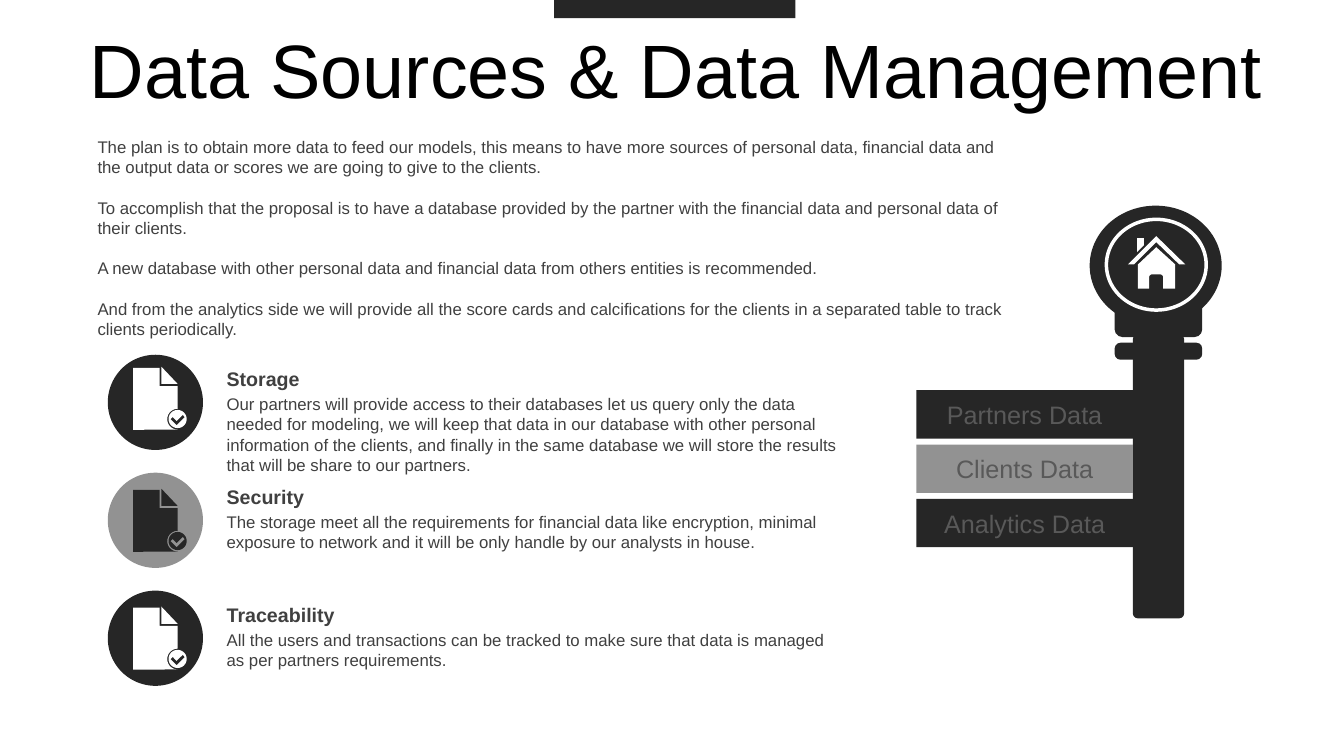
import math

from pptx import Presentation
from pptx.dml.color import RGBColor
from pptx.enum.shapes import MSO_SHAPE
from pptx.enum.text import MSO_ANCHOR, PP_ALIGN
from pptx.util import Pt

RECT, OVAL, ROUNDED = MSO_SHAPE.RECTANGLE, MSO_SHAPE.OVAL, MSO_SHAPE.ROUNDED_RECTANGLE
TOP, MIDDLE = MSO_ANCHOR.TOP, MSO_ANCHOR.MIDDLE
LEFT, CENTER = PP_ALIGN.LEFT, PP_ALIGN.CENTER

DARK = RGBColor(0x26, 0x26, 0x26)
GRAY = RGBColor(0x92, 0x92, 0x92)
WHITE = RGBColor(0xFF, 0xFF, 0xFF)
BLACK = RGBColor(0, 0, 0)
BODY = RGBColor(0x40, 0x40, 0x40)
LABEL = RGBColor(0x59, 0x59, 0x59)
FONT = "Arial"

INTRO = [
    "The plan is to obtain more data to feed our models, this means to have more sources of "
    "personal data, financial data and the output data or scores we are going to give to the clients.",
    "To accomplish that the proposal is to have a database provided by the partner with the "
    "financial data and personal data of their clients.",
    "A new database with other personal data and financial data from others entities is recommended.",
    "And from the analytics side we will provide all the score cards and calcifications for the "
    "clients in a separated table to track clients periodically.",
]
TOPICS = [
    ("Storage",
     "Our partners will provide access to their databases let us query only the data needed for "
     "modeling, we will keep that data in our database with other personal information of the "
     "clients, and finally in the same database we will store the results that will be share to "
     "our partners.", DARK, WHITE, 8.64),
    ("Security",
     "The storage meet all the requirements for financial data like encryption, minimal exposure "
     "to network and it will be only handle by our analysts in house.", GRAY, DARK, 11.52),
    ("Traceability",
     "All the users and transactions can be tracked to make sure that data is managed as per "
     "partners requirements.", DARK, WHITE, 11.52),
]
KEY_BITS = [("Partners Data", DARK), ("Clients Data", GRAY), ("Analytics Data", DARK)]


def arc(center_x, center_y, radius, start, end, steps=24):
    angles = [math.radians(start + (end - start) * i / steps) for i in range(steps + 1)]
    return [(center_x + radius * math.cos(a), center_y + radius * math.sin(a)) for a in angles]


CHECK = [(35.4, 34.3), (31, 38.7), (28.2, 35.9), (26.6, 37.4), (31, 41.8), (36.8, 36)]
BADGE = arc(31.7, 37.3, 6.5, 0, 360)
PAGE = [(0, 0.7), (18.8, 0.7), (18.8, 13.8), (31.7, 13.8),
        *arc(31.7, 37.4, 7.4, 270, 90), (0, 45)]
FOLD = [(20.2, 0), (31.7, 12.2), (20.2, 12.2)]
DOCUMENT = [CHECK, BADGE, PAGE, FOLD]

WALLS = [(20.3, 7.9), (33.8, 20.2), (33.8, 37.4), *arc(23, 29.5, 2.2, 0, -90, 6),
         *arc(17.3, 29.5, 2.2, -90, -180, 6), (15.1, 37.4), (7.2, 37.4), (7.2, 20.2)]
WALLS.insert(3, (25.2, 37.4))
CHIMNEY = [(6.5, 1.4), (11.5, 1.4), (11.5, 6.5), (6.5, 11.5)]
ROOF = [(20.3, 0), (41, 20.2), (36.7, 20.2), (20.3, 4.3), (4.3, 20.2), (0, 20.2)]
HOUSE = [WALLS, CHIMNEY, ROOF]


def paint(shape, color):
    shape.shadow.inherit = False
    shape.fill.solid()
    shape.fill.fore_color.rgb = color
    shape.line.fill.background()
    return shape


def add_block(slide, kind, left, top, width, height, color, corner=None):
    block = slide.shapes.add_shape(kind, Pt(left), Pt(top), Pt(width), Pt(height))
    if corner is not None:
        block.adjustments[0] = corner
    return paint(block, color)


def add_outline(slide, contours, left, top, color):
    builder = None
    for contour in contours:
        points = [(Pt(x), Pt(y)) for x, y in contour]
        if builder is None:
            builder = slide.shapes.build_freeform(*points[0])
        else:
            builder.move_to(*points[0])
        builder.add_line_segments(points[1:], close=True)
    return paint(builder.convert_to_shape(Pt(left), Pt(top)), color)


def write(frame, *texts, size=12, color=BODY, bold=False, align=LEFT, anchor=TOP,
          before=0, after=0, spacing=None):
    frame.word_wrap = True
    frame.vertical_anchor = anchor
    for index, text in enumerate(texts):
        paragraph = frame.add_paragraph() if index else frame.paragraphs[0]
        paragraph.alignment = align
        paragraph.space_before, paragraph.space_after = Pt(before), Pt(after)
        paragraph.line_spacing = spacing
        run = paragraph.add_run()
        run.text = text
        run.font.name, run.font.size, run.font.bold = FONT, Pt(size), bold
        run.font.color.rgb = color


def add_text(slide, left, top, width, height, *texts, **style):
    box = slide.shapes.add_textbox(Pt(left), Pt(top), Pt(width), Pt(height))
    write(box.text_frame, *texts, **style)


def draw_header(slide, left, top, width):
    tab_width = 172.4
    add_block(slide, RECT, left + (width - tab_width) / 2, top, tab_width, 13, DARK)
    add_text(slide, left + 25.2, top + 24.5, 911.5, 56.9, "Data Sources & Data Management",
             size=54, color=BLACK, align=CENTER, anchor=MIDDLE, before=10, spacing=0.9)


def draw_topics(slide, left, top, pitch):
    for row, (heading, detail, disc_color, icon_color, icon_drop) in enumerate(TOPICS):
        row_top = top + row * pitch
        add_block(slide, OVAL, left, row_top, 68, 68, disc_color)
        add_outline(slide, DOCUMENT, left + 18.2, row_top + icon_drop, icon_color)
        add_text(slide, left + 77.8, row_top + 5, 455.8, 24.5, heading,
                 size=14, bold=True, anchor=MIDDLE)
        add_text(slide, left + 77.8, row_top + 24.5, 455.8, 36, detail)


def draw_key(slide, left, top):
    axis = left + 173
    for kind, drop, width, height, corner in [
        (OVAL, 0, 94.3, 85.7, None),
        (ROUNDED, 60.8, 62.6, 33.1, 0.17),
        (ROUNDED, 97.9, 62.6, 12.2, 0.35),
        (ROUNDED, 91.8, 36.7, 203, 0.1),
    ]:
        center = axis if kind == OVAL else axis + 2
        add_block(slide, kind, center - width / 2, top + drop, width, height, DARK, corner)
    ring = add_block(slide, OVAL, axis - 35.2, top + 9.8, 71.3, 64.8, DARK)
    ring.line.color.rgb = WHITE
    ring.line.width = Pt(2.5)
    for row, (label, color) in enumerate(KEY_BITS):
        bit = add_block(slide, RECT, left + 2, top + 131.8 + row * 38.8, 154.8, 34.6, color)
        write(bit.text_frame, label, size=18, color=LABEL, align=CENTER, anchor=MIDDLE)
    add_outline(slide, HOUSE, axis - 19.8, top + 21.8, WHITE)


deck = Presentation()
deck.slide_width, deck.slide_height = Pt(960), Pt(540)
slide = deck.slides.add_slide(deck.slide_layouts[6])
draw_header(slide, 2, 0, 960)
add_text(slide, 62.6, 94.3, 674.6, 152.6, *INTRO, after=14.4)
draw_topics(slide, 77, 253.4, 84.24)
draw_key(slide, 652.5, 146.9)
deck.save("out.pptx")
